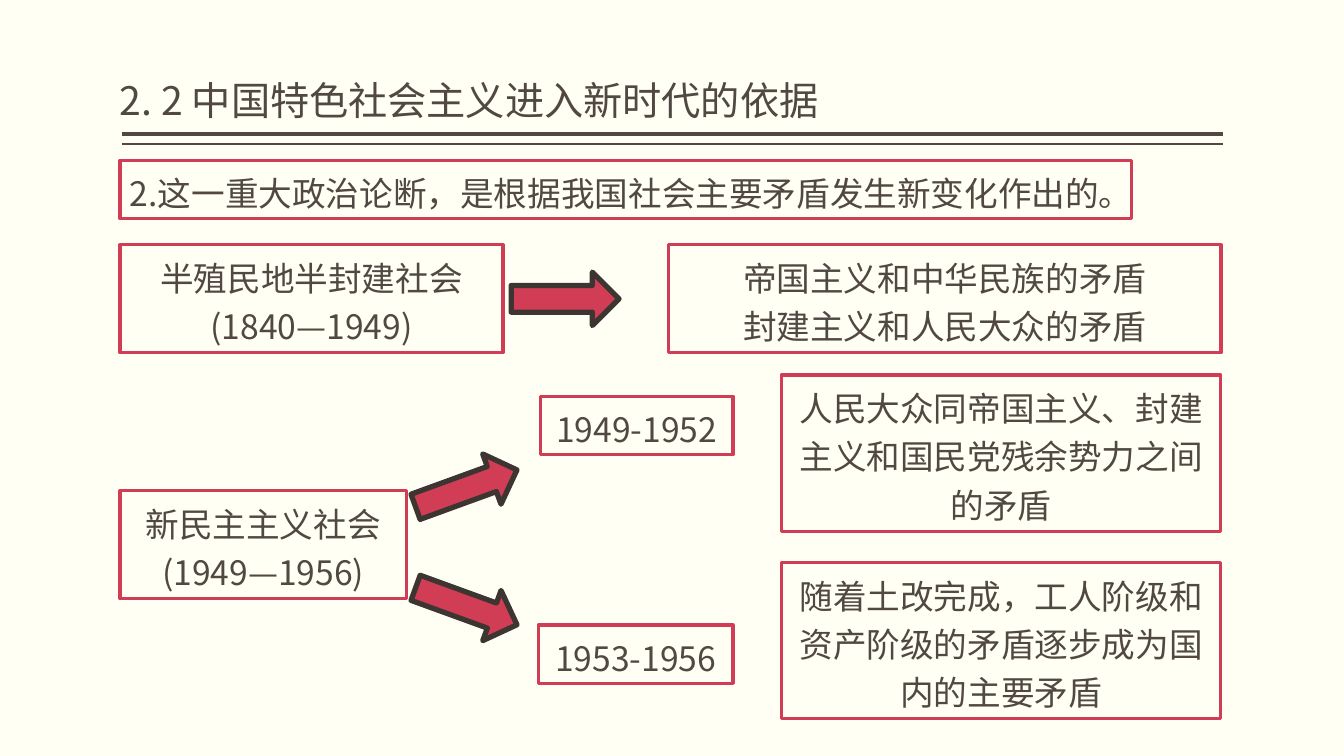
from dataclasses import dataclass

from lxml.etree import SubElement
from pptx import Presentation
from pptx.dml.color import RGBColor
from pptx.enum.shapes import MSO_CONNECTOR, MSO_SHAPE
from pptx.enum.text import MSO_ANCHOR, MSO_AUTO_SIZE, PP_ALIGN
from pptx.oxml.ns import qn
from pptx.util import Inches, Pt


@dataclass(frozen=True)
class Theme:
    font: str = "Noto Sans CJK SC"
    paper: RGBColor = RGBColor(0xFF, 0xFF, 0xF3)
    ink: RGBColor = RGBColor(0x51, 0x48, 0x43)
    accent: RGBColor = RGBColor(0xD1, 0x3D, 0x55)
    arrow_edge: RGBColor = RGBColor(0x3C, 0x35, 0x32)
    title_size: Pt = Pt(28)
    body_size: Pt = Pt(24)
    box_line: Pt = Pt(2.25)
    arrow_line: Pt = Pt(3.78)


THEME = Theme()
LEFT, RIGHT = 1.19, 12.11
ONE_LINE, TWO_LINES, THREE_LINES = 0.58, 1.07, 1.55
ARROW_WIDTH, ARROW_HEIGHT = 1.07, 0.53


def write_line(para, text, size, align, spacing):
    para.alignment = align
    para.line_spacing = spacing
    span = para.add_run()
    span.text = text
    span.font.size = size
    span.font.color.rgb = THEME.ink
    span.font.name = THEME.font
    SubElement(span.font._element, qn("a:ea"), typeface=THEME.font)


def add_title(page, text):
    box = page.shapes.add_textbox(Inches(LEFT), Inches(0.08), Inches(RIGHT - LEFT), Inches(1.2))
    frame = box.text_frame
    frame.word_wrap = True
    frame.vertical_anchor = MSO_ANCHOR.BOTTOM
    frame.margin_left = frame.margin_right = 0
    write_line(frame.paragraphs[0], text, THEME.title_size, PP_ALIGN.LEFT, 0.9)


def add_rule(page, top, weight):
    rule = page.shapes.add_connector(
        MSO_CONNECTOR.STRAIGHT, Inches(1.21), Inches(top), Inches(12.13), Inches(top))
    rule.line.color.rgb = THEME.ink
    rule.line.width = Pt(weight)
    SubElement(rule._element.spPr, qn("a:effectLst"))


def add_framed_text(page, left, top, width, height, lines, align=PP_ALIGN.CENTER):
    box = page.shapes.add_textbox(Inches(left), Inches(top), Inches(width), Inches(height))
    box.line.color.rgb = THEME.accent
    box.line.width = THEME.box_line
    frame = box.text_frame
    frame.word_wrap = True
    frame.auto_size = MSO_AUTO_SIZE.SHAPE_TO_FIT_TEXT
    for index, text in enumerate(lines):
        para = frame.add_paragraph() if index else frame.paragraphs[0]
        write_line(para, text, THEME.body_size, align, 1.2)


def add_arrow(page, left, top, rotation=0):
    arrow = page.shapes.add_shape(
        MSO_SHAPE.RIGHT_ARROW, Inches(left), Inches(top), Inches(ARROW_WIDTH), Inches(ARROW_HEIGHT))
    arrow.rotation = rotation
    arrow.shadow.inherit = False
    arrow.fill.solid()
    arrow.fill.fore_color.rgb = THEME.accent
    arrow.line.color.rgb = THEME.arrow_edge
    arrow.line.width = THEME.arrow_line


def main():
    deck = Presentation()
    deck.slide_width, deck.slide_height = Inches(13.33), Inches(7.5)
    page = deck.slides.add_slide(deck.slide_layouts[6])
    page.background.fill.solid()
    page.background.fill.fore_color.rgb = THEME.paper

    add_rule(page, 1.33, 3)
    add_rule(page, 1.43, 1)
    add_title(page, "2. 2 中国特色社会主义进入新时代的依据")
    add_framed_text(page, LEFT, 1.59, 10.03, ONE_LINE,
                    ["2.这一重大政治论断，是根据我国社会主要矛盾发生新变化作出的。"], PP_ALIGN.LEFT)

    add_framed_text(page, LEFT, 2.43, 3.8, TWO_LINES, ["半殖民地半封建社会", "(1840—1949)"])
    add_arrow(page, 5.07, 2.7)
    add_framed_text(page, 6.63, 2.43, 5.48, TWO_LINES,
                    ["帝国主义和中华民族的矛盾", "封建主义和人民大众的矛盾"])

    add_framed_text(page, LEFT, 4.87, 2.84, TWO_LINES, ["新民主主义社会", "(1949—1956)"])
    add_arrow(page, 4.09, 4.58, 340)
    add_arrow(page, 4.09, 5.75, 20)
    add_framed_text(page, 5.36, 3.93, 1.91, ONE_LINE, ["1949-1952"])
    add_framed_text(page, 5.34, 6.2, 1.93, ONE_LINE, ["1953-1956"])
    add_framed_text(page, 7.75, 3.72, 4.36, THREE_LINES,
                    ["人民大众同帝国主义、封建主义和国民党残余势力之间的矛盾"])
    add_framed_text(page, 7.75, 5.58, 4.36, THREE_LINES,
                    ["随着土改完成，工人阶级和资产阶级的矛盾逐步成为国内的主要矛盾"])

    deck.save("out.pptx")


if __name__ == "__main__":
    main()
